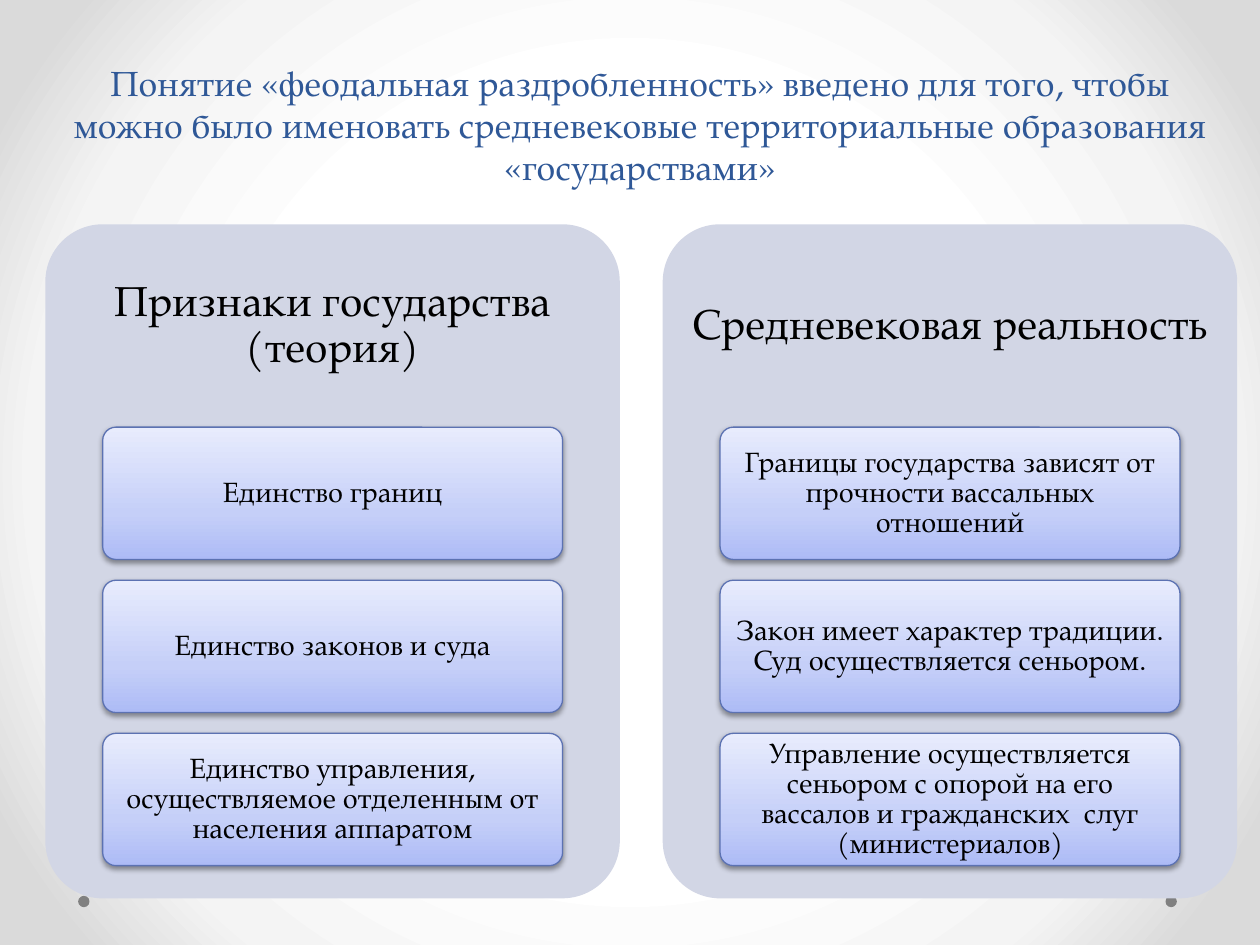
from lxml import etree
from pptx import Presentation
from pptx.dml.color import RGBColor
from pptx.enum.shapes import MSO_SHAPE
from pptx.enum.text import MSO_ANCHOR, PP_ALIGN
from pptx.oxml import parse_xml
from pptx.oxml.ns import nsdecls, qn
from pptx.util import Inches, Pt

FONT = "TeX Gyre Pagella"
BLACK = RGBColor(0x00, 0x00, 0x00)
TITLE_BLUE = RGBColor(0x2F, 0x58, 0x97)
PANEL_FILL = RGBColor(0xD2, 0xD6, 0xE5)
CARD_LINE = RGBColor(0x5C, 0x72, 0xB2)
DOT_GRAY = RGBColor(0x80, 0x80, 0x80)
WHITE = RGBColor(0xFF, 0xFF, 0xFF)
PALE_GRAY = RGBColor(0xF4, 0xF4, 0xF4)
EDGE_GRAY = RGBColor(0xDA, 0xDA, 0xDA)
CARD_DARK = RGBColor(0xAD, 0xBB, 0xF6)
CARD_MIDDLE = RGBColor(0xC5, 0xCF, 0xF8)
CARD_LIGHT = RGBColor(0xE8, 0xEC, 0xFD)

BACKGROUND_STOPS = [(50, WHITE), (76, PALE_GRAY), (92, EDGE_GRAY)]
CARD_STOPS = [(0, CARD_DARK), (35, CARD_MIDDLE), (100, CARD_LIGHT)]
RADIAL = '<a:path path="circle"><a:fillToRect l="50000" t="50000" r="50000" b="50000"/></a:path>'
UPWARD = '<a:lin ang="16200000" scaled="0"/>'

TITLE = (
    "Понятие «феодальная раздробленность» введено для того, чтобы можно было "
    "именовать средневековые территориальные образования «государствами»"
)
PANELS = [
    ("Признаки государства (теория)", [
        "Единство границ",
        "Единство законов и суда",
        "Единство управления, осуществляемое отделенным от населения аппаратом",
    ]),
    ("Средневековая реальность", [
        "Границы государства зависят от прочности вассальных отношений",
        "Закон имеет характер традиции. Суд осуществляется сеньором.",
        "Управление осуществляется сеньором с опорой на его вассалов "
        "и гражданских  слуг (министериалов)",
    ]),
]

PANEL_LEFT, PANEL_TOP, PANEL_WIDTH, PANEL_HEIGHT = 0.36, 1.78, 4.56, 5.35
PANEL_STEP = 4.9
HEADING_HEIGHT = 1.61
CARD_WIDTH, CARD_HEIGHT = 3.65, 1.05
CARD_TOP, CARD_STEP = 3.39, 1.215


def set_gradient(fill, element, stops, shading):
    """Give an element's fill a gradient with the stops and shading."""
    fill.gradient()
    stop_xml = "".join(
        f'<a:gs pos="{position * 1000}"><a:srgbClr val="{color}"/></a:gs>'
        for position, color in stops
    )
    gradient = parse_xml(
        f'<a:gradFill {nsdecls("a")} rotWithShape="1">'
        f"<a:gsLst>{stop_xml}</a:gsLst>{shading}</a:gradFill>"
    )
    current = next(element.iter(qn("a:gradFill")))
    current.getparent().replace(current, gradient)


def add_shadow(shape):
    """Add a soft shadow below a shape."""
    shape.shadow.inherit = False
    effects = shape.element.spPr.find(qn("a:effectLst"))
    shadow = etree.SubElement(
        effects, qn("a:outerShdw"), blurRad=str(Pt(3.1)), dist=str(Pt(1.6)),
        dir="5400000", rotWithShape="0",
    )
    color = etree.SubElement(shadow, qn("a:srgbClr"), val=str(BLACK))
    etree.SubElement(color, qn("a:alpha"), val="38000")


def write_text(shape, text, *, size, color=BLACK, anchor=MSO_ANCHOR.MIDDLE,
               insets=(0.1, 0.1), line_spacing=0.9):
    """Write one centred paragraph into a shape."""
    frame = shape.text_frame
    frame.word_wrap = True
    frame.vertical_anchor = anchor
    frame.margin_left = frame.margin_right = Inches(insets[0])
    frame.margin_top = frame.margin_bottom = Inches(insets[1])
    paragraph = frame.paragraphs[0]
    paragraph.alignment = PP_ALIGN.CENTER
    paragraph.line_spacing = line_spacing
    run = paragraph.add_run()
    run.text = text
    run.font.name = FONT
    run.font.size = Pt(size)
    run.font.color.rgb = color


def add_plain_shape(slide, kind, left, top, width, height, color):
    """Add a flat filled shape without a line."""
    shape = slide.shapes.add_shape(
        kind, Inches(left), Inches(top), Inches(width), Inches(height)
    )
    shape.shadow.inherit = False
    shape.fill.solid()
    shape.fill.fore_color.rgb = color
    shape.line.fill.background()
    return shape


def add_card(slide, left, top, text):
    """Add a shaded card with its statement."""
    card = slide.shapes.add_shape(
        MSO_SHAPE.ROUNDED_RECTANGLE, Inches(left), Inches(top),
        Inches(CARD_WIDTH), Inches(CARD_HEIGHT),
    )
    card.adjustments[0] = 0.1
    set_gradient(card.fill, card.element, CARD_STOPS, UPWARD)
    card.line.color.rgb = CARD_LINE
    card.line.width = Pt(0.75)
    add_shadow(card)
    write_text(card, text, size=16, insets=(0.04, 0.03))


def add_panel(slide, left, heading, statements):
    """Add a rounded panel with its heading and column of cards."""
    panel = add_plain_shape(slide, MSO_SHAPE.ROUNDED_RECTANGLE, left, PANEL_TOP,
                            PANEL_WIDTH, PANEL_HEIGHT, PANEL_FILL)
    panel.adjustments[0] = 0.1
    heading_box = slide.shapes.add_textbox(
        Inches(left), Inches(PANEL_TOP), Inches(PANEL_WIDTH), Inches(HEADING_HEIGHT)
    )
    write_text(heading_box, heading, size=24)
    card_left = left + (PANEL_WIDTH - CARD_WIDTH) / 2
    for row, statement in enumerate(statements):
        add_card(slide, card_left, CARD_TOP + row * CARD_STEP, statement)


def add_title(slide):
    """Place and format the title placeholder."""
    title = slide.shapes.title
    title.left, title.top = Inches(0.33), Inches(0.44)
    title.width, title.height = Inches(9.5), Inches(1.1)
    write_text(title, TITLE, size=20, color=TITLE_BLUE, anchor=MSO_ANCHOR.BOTTOM,
               insets=(0.1, 0.05), line_spacing=1.0)


def main():
    """Build the slide and save it."""
    presentation = Presentation()
    presentation.slide_width, presentation.slide_height = Inches(10), Inches(7.5)
    slide = presentation.slides.add_slide(presentation.slide_layouts[5])
    set_gradient(slide.background.fill, slide.element, BACKGROUND_STOPS, RADIAL)
    for left in (9.25, 0.62):
        add_plain_shape(slide, MSO_SHAPE.OVAL, left, 7.11, 0.09, 0.09, DOT_GRAY)
    add_title(slide)
    for column, (heading, statements) in enumerate(PANELS):
        add_panel(slide, PANEL_LEFT + column * PANEL_STEP, heading, statements)
    presentation.save("out.pptx")


if __name__ == "__main__":
    main()
